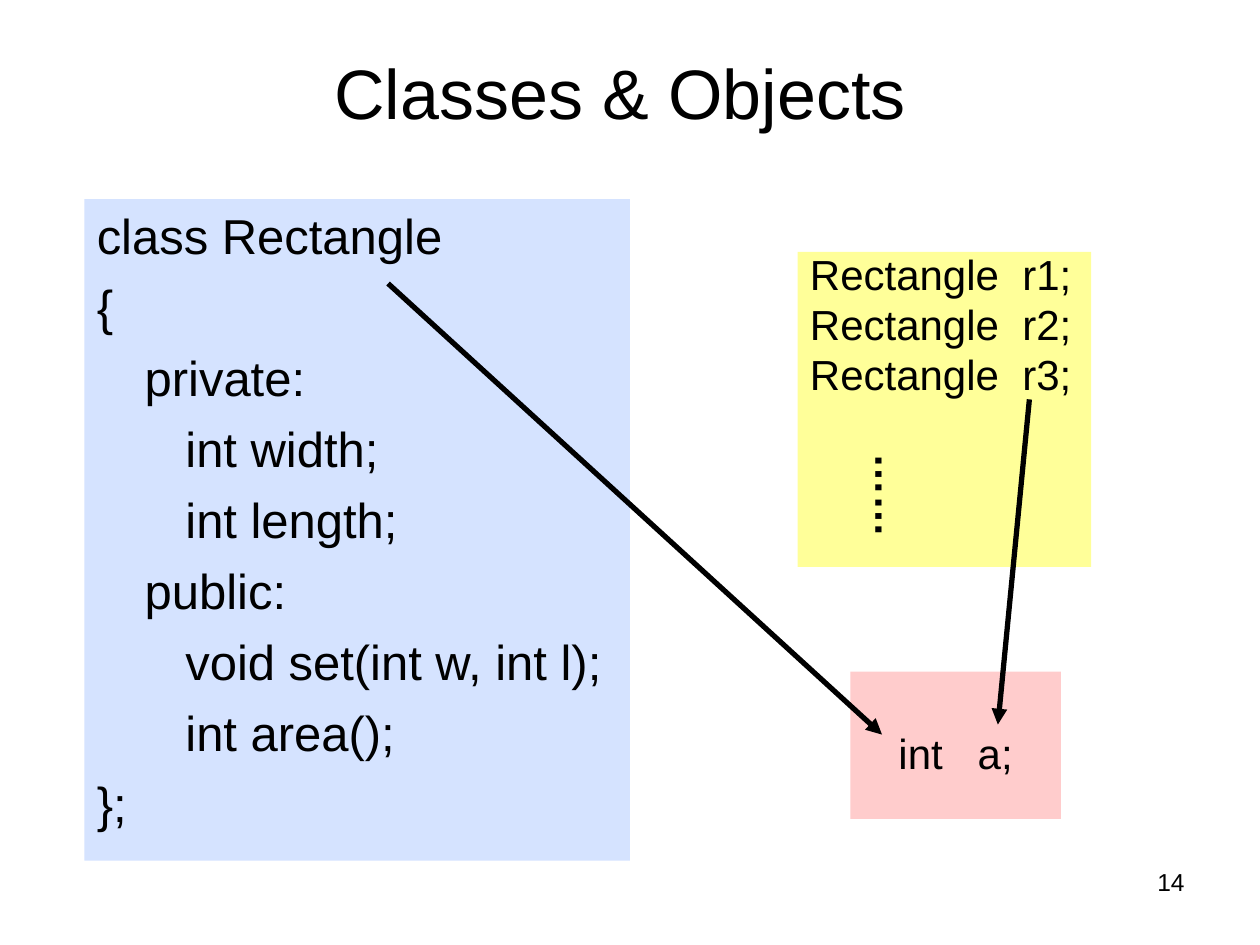
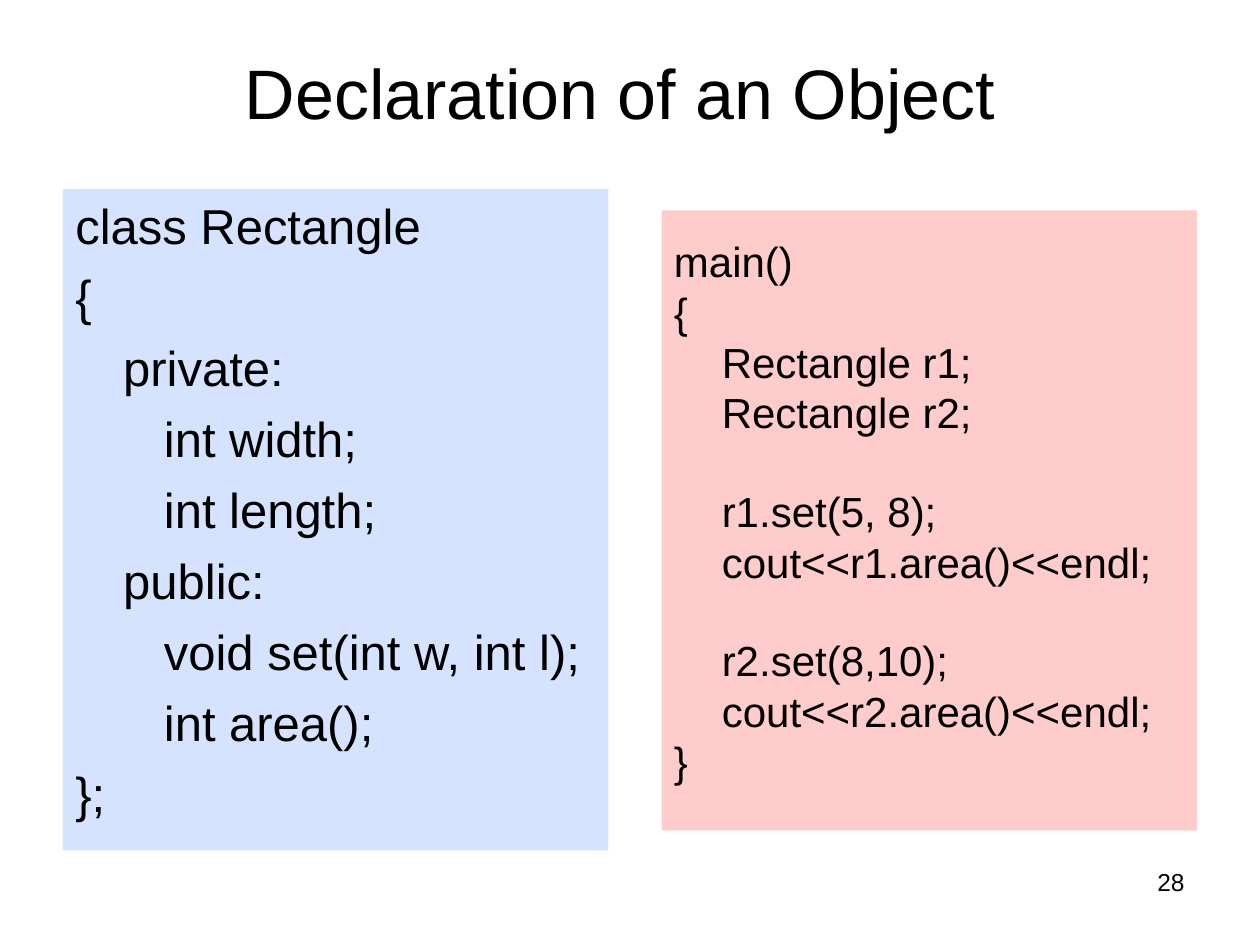
from lxml import etree
from pptx import Presentation
from pptx.dml.color import RGBColor
from pptx.enum.shapes import MSO_CONNECTOR, MSO_SHAPE
from pptx.enum.text import MSO_ANCHOR, MSO_AUTO_SIZE, PP_ALIGN
from pptx.oxml.ns import qn
from pptx.util import Inches, Pt

FONT = "Arial"
BLACK = RGBColor(0x00, 0x00, 0x00)
BLUE = RGBColor(0xD5, 0xE3, 0xFF)
YELLOW = RGBColor(0xFF, 0xFF, 0x99)
PINK = RGBColor(0xFF, 0xCC, 0xCC)

TITLE_AREA = (0.42, 0.38, 9, 0.7)
NUMBER_AREA = (7.17, 6.83, 2.33, 0.52)
CLASS_SIZE = (4.33, 5.25)
TAB_INDENT = 0.38
# Font size, line spacing and space before, in points where absolute
CLASS_STYLE = (28, 1.0, 7)
USAGE_STYLE = (24, 0.8, 5.7)
BLANK_LINE = 27.75

CLASS_CODE = [
    "class Rectangle",
    "{",
    "\tprivate:",
    "\t   int width;",
    "\t   int length;",
    "\tpublic:",
    "\t   void set(int w, int l);",
    "\t   int area();",
    "};",
]
DECLARATIONS = ["Rectangle  r1;", "Rectangle  r2;", "Rectangle  r3;"]
# An empty string stands for a gap of one line
MAIN_CODE = [
    "main()",
    "{",
    "\tRectangle r1;",
    "\tRectangle r2;",
    "",
    "\tr1.set(5, 8);",
    "\tcout<<r1.area()<<endl;",
    "",
    "\tr2.set(8,10);",
    "\tcout<<r2.area()<<endl;",
    "}",
]
ARROWS = [((3.08, 2.25), (7, 5.83)), ((8.17, 3.17), (7.92, 5.75))]


def inches(values):
    return [Inches(value) for value in values]


def style_font(para, size, bold=False):
    for span in para.runs:
        span.font.name = FONT
        span.font.size = Pt(size)
        span.font.bold = bold
        span.font.color.rgb = BLACK


def add_text(slide, area, text, size, align=PP_ALIGN.LEFT, bold=False):
    box = slide.shapes.add_textbox(*inches(area))
    box.text_frame.word_wrap = True
    box.text_frame.text = text
    para = box.text_frame.paragraphs[0]
    para.alignment = align
    style_font(para, size, bold)
    return box


def add_code(slide, area, fill, lines, style, top=0.05, align=PP_ALIGN.LEFT):
    """Draw a filled panel with one paragraph per code line."""
    size, line_spacing, space_before = style
    panel = slide.shapes.add_shape(MSO_SHAPE.RECTANGLE, *inches(area))
    panel.shadow.inherit = False
    panel.fill.solid()
    panel.fill.fore_color.rgb = fill
    panel.line.fill.background()
    frame = panel.text_frame
    frame.word_wrap = True
    frame.vertical_anchor = MSO_ANCHOR.TOP
    frame.margin_top = Inches(top)
    para, gap = frame.paragraphs[0], 0
    for line in lines:
        if not line:
            gap += BLANK_LINE
            continue
        if para.text:
            para = frame.add_paragraph()
            para.space_before = Pt(space_before + gap)
        gap = 0
        para.text = line
        para.alignment = align
        para.line_spacing = line_spacing
        if align == PP_ALIGN.LEFT:
            properties = para._p.get_or_add_pPr()
            properties.set("marL", str(Inches(TAB_INDENT)))
            properties.set("indent", str(-Inches(TAB_INDENT)))
        style_font(para, size)


def add_arrow(slide, start, end):
    arrow = slide.shapes.add_connector(MSO_CONNECTOR.STRAIGHT, *inches(start + end))
    arrow.line.color.rgb = BLACK
    arrow.line.width = Pt(3)
    etree.SubElement(arrow.line._get_or_add_ln(), qn("a:tailEnd"), type="triangle")
    etree.SubElement(arrow._element.spPr, qn("a:effectLst"))


def add_page(deck, title_text, number, class_corner):
    """Add a slide with the title, page number and class definition."""
    slide = deck.slides.add_slide(deck.slide_layouts[5])
    title = slide.shapes.title
    title.left, title.top, title.width, title.height = inches(TITLE_AREA)
    title.text_frame.text = title_text
    title.text_frame.vertical_anchor = MSO_ANCHOR.MIDDLE
    para = title.text_frame.paragraphs[0]
    para.alignment = PP_ALIGN.CENTER
    style_font(para, 40)
    add_text(slide, NUMBER_AREA, number, 14, PP_ALIGN.RIGHT)
    add_code(slide, class_corner + CLASS_SIZE, BLUE, CLASS_CODE, CLASS_STYLE)
    return slide


def add_classes_page(deck):
    slide = add_page(deck, "Classes & Objects", "14", (0.67, 1.58))
    add_code(slide, (6.33, 2, 2.33, 2.5), YELLOW, DECLARATIONS, USAGE_STYLE)
    dots = add_text(slide, (6.73, 3.5, 0.6, 0.77), "……", 24, bold=True)
    dots.text_frame.word_wrap = False
    dots.text_frame.auto_size = MSO_AUTO_SIZE.SHAPE_TO_FIT_TEXT
    dots.text_frame._txBody.bodyPr.set("vert", "eaVert")
    add_code(slide, (6.75, 5.33, 1.67, 1.17), PINK, ["int   a;"], USAGE_STYLE,
             top=0.52, align=PP_ALIGN.CENTER)
    for start, end in ARROWS:
        add_arrow(slide, start, end)


def add_declaration_page(deck):
    slide = add_page(deck, "Declaration of an Object", "28", (0.5, 1.5))
    add_code(slide, (5.25, 1.67, 4.25, 4.92), PINK, MAIN_CODE, USAGE_STYLE, top=0.28)


def main():
    deck = Presentation()
    deck.slide_width, deck.slide_height = Inches(10), Inches(7.5)
    add_classes_page(deck)
    add_declaration_page(deck)
    deck.save("out.pptx")


if __name__ == "__main__":
    main()
